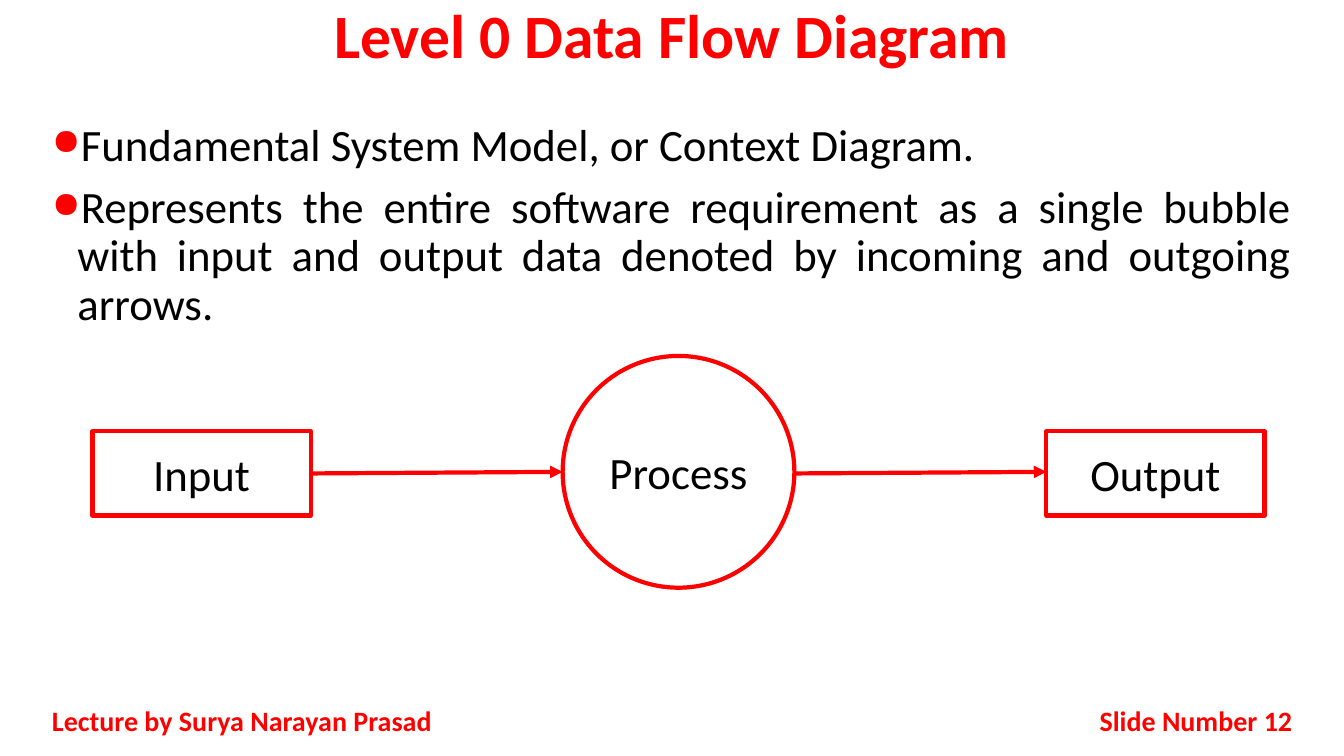
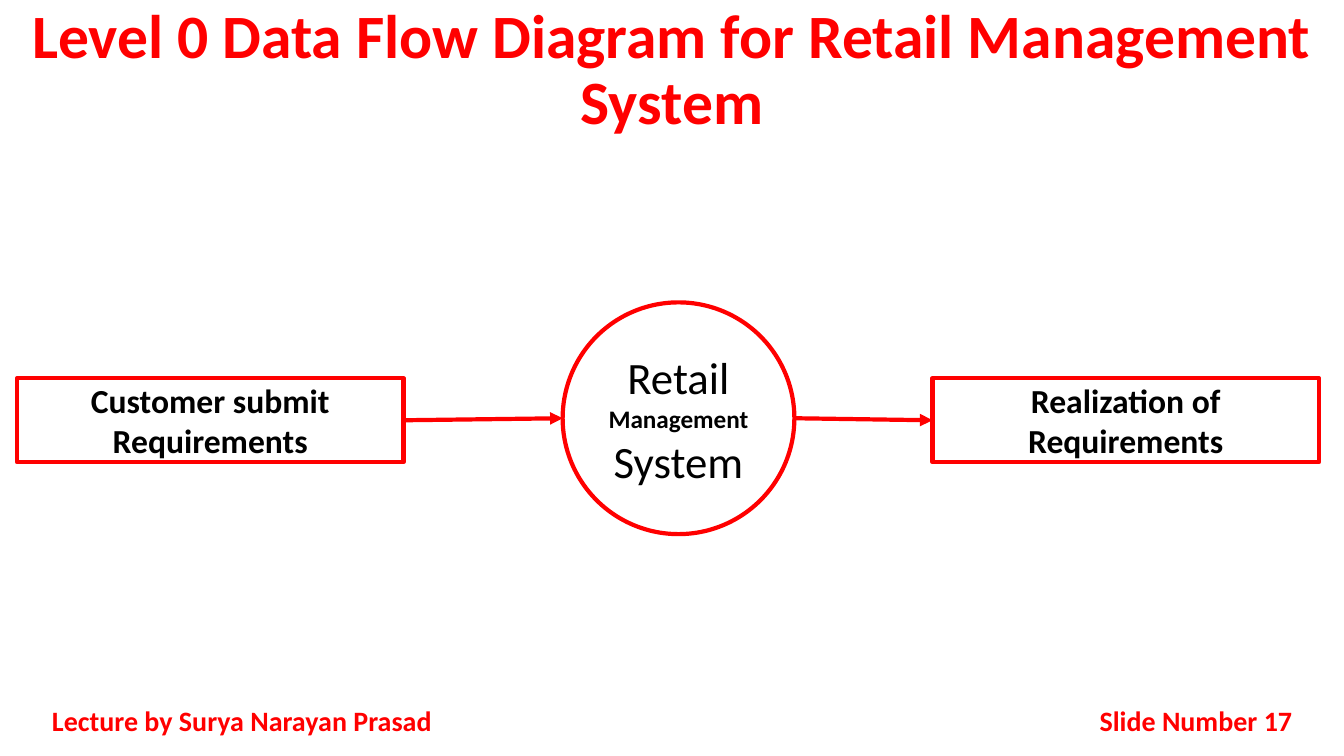
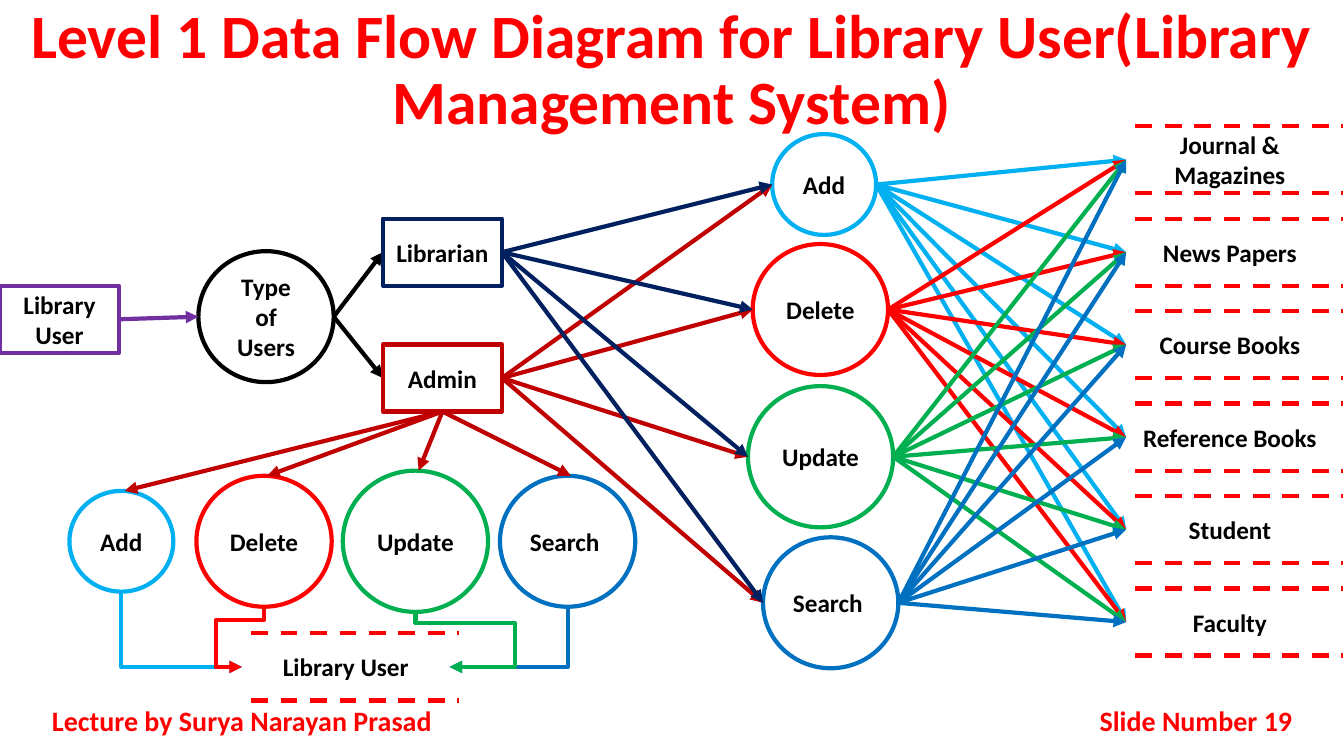
from dataclasses import dataclass

from lxml import etree
from pptx import Presentation
from pptx.dml.color import RGBColor
from pptx.enum.dml import MSO_LINE
from pptx.enum.shapes import MSO_CONNECTOR, MSO_SHAPE
from pptx.enum.text import MSO_ANCHOR, PP_ALIGN
from pptx.oxml.ns import qn
from pptx.util import Cm, Pt

BLACK = RGBColor(0x00, 0x00, 0x00)
RED = RGBColor(0xFF, 0x00, 0x00)
DARK_RED = RGBColor(0xC0, 0x00, 0x00)
NAVY = RGBColor(0x00, 0x20, 0x60)
SKY = RGBColor(0x00, 0xB0, 0xF0)
BLUE = RGBColor(0x00, 0x70, 0xC0)
GREEN = RGBColor(0x00, 0xB0, 0x50)
PURPLE = RGBColor(0x70, 0x30, 0xA0)

RECT, OVAL = MSO_SHAPE.RECTANGLE, MSO_SHAPE.OVAL
STRAIGHT, ELBOW = MSO_CONNECTOR.STRAIGHT, MSO_CONNECTOR.ELBOW
TOP, MIDDLE = MSO_ANCHOR.TOP, MSO_ANCHOR.MIDDLE
CENTER, RIGHT, JUSTIFY = PP_ALIGN.CENTER, PP_ALIGN.RIGHT, PP_ALIGN.JUSTIFY
DASH = MSO_LINE.DASH

FONT = "Calibri"
LINE_WIDTH = Pt(3)
SLIDE_WIDTH, SLIDE_HEIGHT = 33.87, 19.05
FOOTER_TOP, FOOTER_HEIGHT = 17.65, 1.02
STORE_WIDTH, STORE_HEIGHT, STORE_PITCH = 5.23, 1.69, 2.33
STORE_RULE_SHIFT = 0.23

Point = tuple[float, float]


@dataclass(frozen=True)
class Box:
    """An area on the slide, in centimetres."""
    left: float
    top: float
    width: float
    height: float

    @property
    def center_x(self) -> float:
        return self.left + self.width / 2

    @property
    def center_y(self) -> float:
        return self.top + self.height / 2

    @property
    def west(self) -> Point:
        return self.left, self.center_y

    @property
    def east(self) -> Point:
        return self.left + self.width, self.center_y

    @property
    def north(self) -> Point:
        return self.center_x, self.top

    @property
    def south(self) -> Point:
        return self.center_x, self.top + self.height

    def lengths(self) -> tuple[Cm, Cm, Cm, Cm]:
        return Cm(self.left), Cm(self.top), Cm(self.width), Cm(self.height)


@dataclass(frozen=True)
class Run:
    text: str
    size: float = 18
    bold: bool = True


@dataclass(frozen=True)
class Operation:
    """A process bubble shown once for Admin alone and once for both roles."""
    label: str
    color: RGBColor
    own: Box
    shared_left: float
    shared_top: float

    @property
    def shared(self) -> Box:
        return Box(self.shared_left, self.shared_top, self.own.width, self.own.height)


OPERATIONS = [
    Operation("Add", SKY, Box(1.75, 12.37, 2.62, 2.54), 19.46, 3.38),
    Operation("Delete", RED, Box(4.95, 11.99, 3.41, 3.3), 18.97, 6.15),
    Operation("Update", GREEN, Box(8.64, 11.86, 3.66, 3.56), 18.85, 9.73),
    Operation("Search ", BLUE, Box(12.6, 11.99, 3.41, 3.3), 19.23, 13.54),
]
STORES = ["Journal & Magazines", "News Papers", "Course Books",
          "Reference Books", "Student", "Faculty"]


def add_text(paragraph, text: str, *, size: float = 18, bold: bool = True,
             color: RGBColor = BLACK) -> None:
    run = paragraph.add_run()
    run.text = text
    run.font.name = FONT
    run.font.size = Pt(size)
    run.font.bold = bold
    run.font.color.rgb = color


def first_paragraph(shape, align, anchor):
    """Set up the text frame of a shape and return its first paragraph."""
    frame = shape.text_frame
    frame.word_wrap = True
    frame.vertical_anchor = anchor
    paragraph = frame.paragraphs[0]
    paragraph.alignment = align
    return paragraph


def add_label(slide, box: Box, text: str, *, align=CENTER, anchor=MIDDLE, **text_format):
    label = slide.shapes.add_textbox(*box.lengths())
    paragraph = first_paragraph(label, align, anchor)
    add_text(paragraph, text, **text_format)
    return paragraph


def add_node(slide, kind, box: Box, color: RGBColor, *runs: Run) -> None:
    node = slide.shapes.add_shape(kind, *box.lengths())
    node.shadow.inherit = False
    node.fill.background()
    node.line.color.rgb = color
    node.line.width = LINE_WIDTH
    paragraph = first_paragraph(node, CENTER, MIDDLE)
    for run in runs:
        add_text(paragraph, run.text, size=run.size, bold=run.bold)


def add_line(slide, start: Point, end: Point, color: RGBColor, kind=STRAIGHT):
    line = slide.shapes.add_connector(kind, *(Cm(value) for value in (*start, *end)))
    line.line.color.rgb = color
    line.line.width = LINE_WIDTH
    etree.SubElement(line.element.spPr, qn("a:effectLst"))
    return line


def add_arrowhead(connector) -> None:
    outline = connector.line._get_or_add_ln()
    etree.SubElement(outline, qn("a:tailEnd"), type="triangle")


def add_arrow(slide, start: Point, end: Point, color: RGBColor) -> None:
    add_arrowhead(add_line(slide, start, end, color))


def add_elbow(slide, start: Point, end: Point, color: RGBColor,
              *bends: float) -> None:
    """Draw an arrow that leaves downwards; bends are fractions of its drop and reach."""
    drop, reach = end[1] - start[1], abs(end[0] - start[0])
    left = (start[0] + end[0] - drop) / 2
    top = (start[1] + end[1] - reach) / 2
    elbow = add_line(slide, (left, top), (left + drop, top + reach), color, ELBOW)
    properties = elbow.element.spPr
    transform = properties.find(qn("a:xfrm"))
    if end[0] > start[0]:
        transform.set("rot", str(270 * 60000))
        transform.set("flipH", "1")
    else:
        transform.set("rot", str(90 * 60000))
    geometry = properties.find(qn("a:prstGeom"))
    geometry.set("prst", f"bentConnector{2 + len(bends)}")
    adjustments = geometry.find(qn("a:avLst"))
    for number, bend in enumerate(bends, 1):
        etree.SubElement(adjustments, qn("a:gd"), name=f"adj{number}",
                         fmla=f"val {round(bend * 100000)}")
    add_arrowhead(elbow)


def add_bullets(slide, box: Box, items: list[str]) -> None:
    body = slide.shapes.add_textbox(*box.lengths())
    paragraph = first_paragraph(body, JUSTIFY, TOP)
    for index, item in enumerate(items):
        if index:
            paragraph = body.text_frame.add_paragraph()
        paragraph.alignment = JUSTIFY
        paragraph.line_spacing = 0.9
        paragraph.space_before = Pt(10)
        add_text(paragraph, item, size=32, bold=False)
        properties = paragraph._p.get_or_add_pPr()
        indent = Cm(0.64)
        properties.set("marL", str(indent))
        properties.set("indent", str(-indent))
        bullet_color = etree.SubElement(properties, qn("a:buClr"))
        etree.SubElement(bullet_color, qn("a:srgbClr"), val=str(RED))
        etree.SubElement(properties, qn("a:buSzPct"), val="81000")
        etree.SubElement(properties, qn("a:buChar"), char="●")


def add_store(slide, box: Box, text: str) -> None:
    """Draw a data store: a label between two dashed rules."""
    add_label(slide, box, text)
    left = box.left + STORE_RULE_SHIFT
    for y in (box.top, box.top + box.height):
        rule = add_line(slide, (left, y), (left + box.width, y), RED)
        rule.line.dash_style = DASH


def new_slide(deck, title: str, number: int, title_height: float = 3.39):
    slide = deck.slides.add_slide(deck.slide_layouts[6])
    heading = add_label(slide, Box(0, 0, SLIDE_WIDTH, title_height), title,
                        anchor=TOP, size=44, color=RED)
    heading.line_spacing = 0.9
    add_label(slide, Box(1.06, FOOTER_TOP, 10.58, FOOTER_HEIGHT),
              "Lecture by Surya Narayan Prasad", align=JUSTIFY, size=20, color=RED)
    add_label(slide, Box(25.82, FOOTER_TOP, 7, FOOTER_HEIGHT),
              f"Slide Number {number}", align=RIGHT, size=20, color=RED)
    return slide


def build_context_diagram(deck) -> None:
    slide = new_slide(deck, "Level 0 Data Flow Diagram", 12, 2.12)
    add_bullets(slide, Box(1.06, 2.96, 31.75, 13.48), [
        "Fundamental System Model, or Context Diagram.",
        "Represents the entire software requirement as a single bubble with input "
        "and output data denoted by incoming and outgoing arrows.",
    ])
    source = Box(2.33, 10.87, 5.5, 2.12)
    process = Box(14.18, 8.97, 5.84, 5.84)
    target = Box(26.37, 10.87, 5.5, 2.12)
    add_node(slide, RECT, source, RED, Run("Input", 32, False))
    add_node(slide, OVAL, process, RED, Run("Process", 32, False))
    add_node(slide, RECT, target, RED, Run("Output", 32, False))
    add_arrow(slide, source.east, process.west, RED)
    add_arrow(slide, (process.east[0], target.center_y),
              (target.left, process.center_y), RED)


def build_retail_diagram(deck) -> None:
    slide = new_slide(deck, "Level 0 Data Flow Diagram for Retail Management System", 17)
    customer = Box(0.43, 9.53, 9.74, 2.12)
    retail = Box(14.18, 7.62, 5.84, 5.84)
    realization = Box(23.5, 9.53, 9.74, 2.12)
    add_node(slide, OVAL, retail, RED, Run("Retail ", 32, False),
             Run("Management "), Run("System", 32, False))
    add_node(slide, RECT, realization, RED, Run("Realization of Requirements", 24))
    add_node(slide, RECT, customer, RED, Run("Customer submit Requirements", 24))
    add_arrow(slide, customer.east, retail.west, RED)
    add_arrow(slide, retail.east, realization.west, RED)


def build_library_diagram(deck) -> None:
    slide = new_slide(
        deck, "Level 1 Data Flow Diagram for Library User(Library Management System)", 19)
    user = Box(0, 7.2, 3, 1.69)
    user_types = Box(5, 6.33, 3.41, 3.3)
    librarian = Box(9.65, 5.51, 3, 1.69)
    admin = Box(9.65, 8.68, 3, 1.69)
    served_user = Box(6.1, 15.96, STORE_WIDTH, STORE_HEIGHT)
    stores = [Box(28.38, 3.18 + row * STORE_PITCH, STORE_WIDTH, STORE_HEIGHT)
              for row in range(len(STORES))]

    add_node(slide, OVAL, user_types, BLACK, Run("Type of Users"))
    add_node(slide, RECT, user, PURPLE, Run("Library User"))
    add_arrow(slide, user.east, user_types.west, PURPLE)
    for role in (admin, librarian):
        add_arrow(slide, user_types.east, role.west, BLACK)

    for store, text in zip(stores, STORES):
        add_store(slide, store, text)
    for operation in OPERATIONS:
        for box in (operation.own, operation.shared):
            add_node(slide, OVAL, box, operation.color, Run(operation.label))
        for store in stores:
            add_arrow(slide, operation.shared.east, store.west, operation.color)

    for role, text, color in ((admin, "Admin", DARK_RED), (librarian, "Librarian", NAVY)):
        add_node(slide, RECT, role, color, Run(text))
        for operation in OPERATIONS:
            add_arrow(slide, role.east, operation.shared.west, color)
    for operation in OPERATIONS:
        x, y = operation.own.north
        add_arrow(slide, admin.south, (x + 0.08, y), DARK_RED)

    add_store(slide, served_user, "Library User")
    add, delete, update, search = OPERATIONS
    add_elbow(slide, add.own.south, served_user.west, add.color)
    add_elbow(slide, search.own.south, served_user.east, search.color)
    add_elbow(slide, delete.own.south, served_user.west, delete.color, 0.22, 2.2)
    add_elbow(slide, update.own.south, served_user.east, update.color, 0.2, 2.91)


def main() -> None:
    deck = Presentation()
    deck.slide_width, deck.slide_height = Cm(SLIDE_WIDTH), Cm(SLIDE_HEIGHT)
    build_context_diagram(deck)
    build_retail_diagram(deck)
    build_library_diagram(deck)
    deck.save("out.pptx")


if __name__ == "__main__":
    main()
